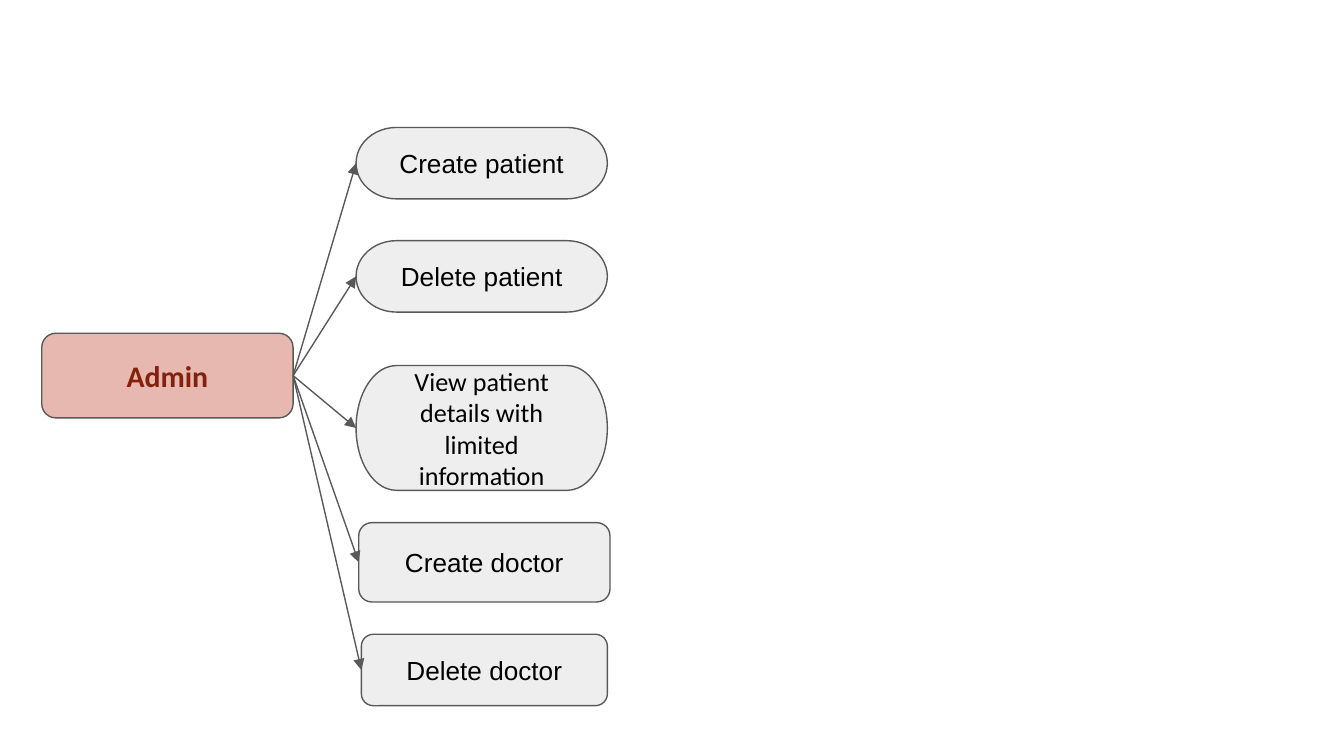
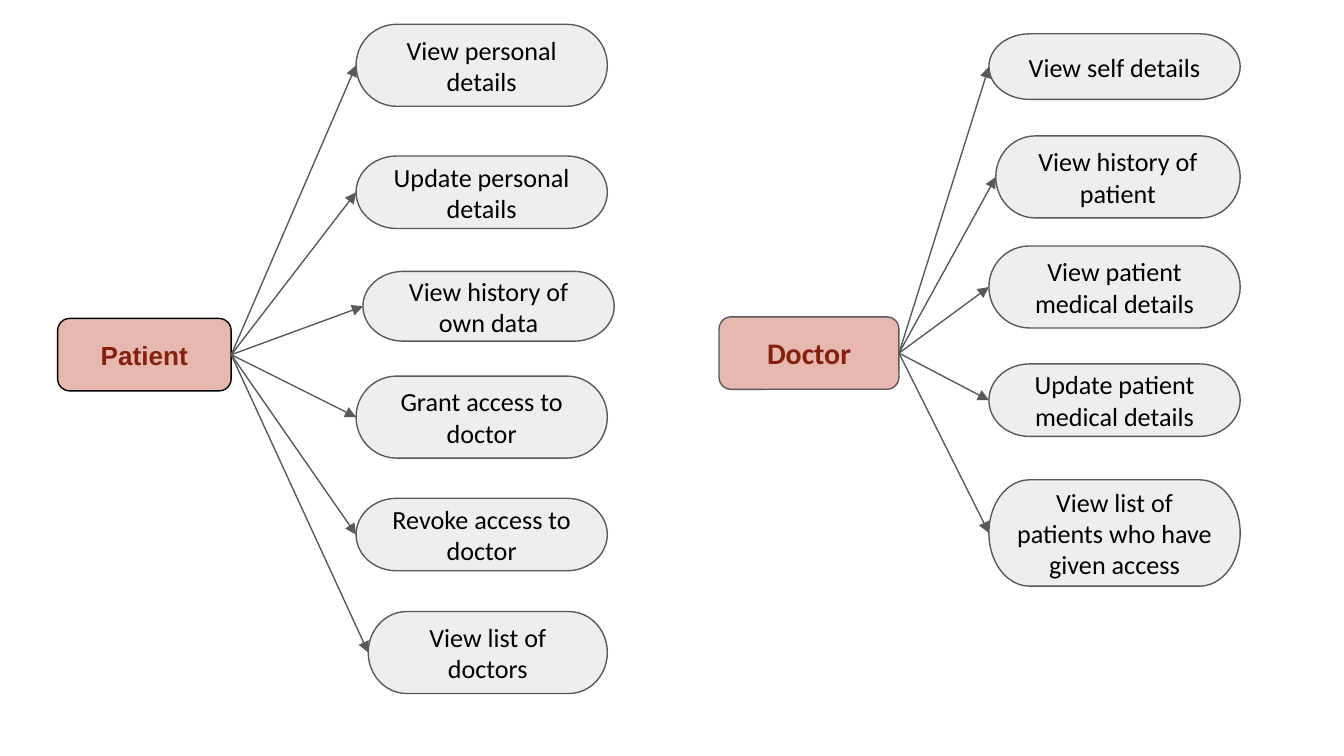
from dataclasses import dataclass

from lxml import etree
from pptx import Presentation
from pptx.dml.color import RGBColor
from pptx.enum.shapes import MSO_CONNECTOR, MSO_SHAPE
from pptx.enum.text import MSO_ANCHOR, PP_ALIGN
from pptx.oxml.ns import qn
from pptx.util import Cm, Pt

ROUNDED = MSO_SHAPE.ROUNDED_RECTANGLE
TERMINATOR = MSO_SHAPE.FLOWCHART_TERMINATOR
STRAIGHT = MSO_CONNECTOR.STRAIGHT
CENTER = PP_ALIGN.CENTER
MIDDLE = MSO_ANCHOR.MIDDLE
LEFT_SIDE, RIGHT_SIDE = 1, 3  # connection sites


@dataclass(frozen=True)
class Theme:
    role_fill: str = "E6B8AF"
    role_text: str = "85200C"
    action_fill: str = "EEEEEE"
    action_text: str = "000000"
    outline: str = "595959"
    black: str = "000000"
    sans: str = "Arial"
    body: str = "Calibri"
    role_size: int = 16
    action_size: int = 14
    line_width: float = 0.75
    inset: float = 0.25


THEME = Theme()


@dataclass(frozen=True)
class Role:
    name: str
    place: tuple  # left, top, width, height in cm
    actions_left: float
    actions: list
    font: str = THEME.body
    size: int = THEME.role_size
    outline: str = THEME.outline


@dataclass(frozen=True)
class Action:
    text: str
    top: float
    height: float
    indent: float = 0
    width: float = 4.75
    font: str = THEME.body
    form: int = TERMINATOR


# Content: each slide is a list of roles with the actions open to them
ADMIN = Role("Admin", (0.79, 6.3, 4.75, 1.6), 6.73, [
    Action("Create patient", 2.41, 1.35, font=THEME.sans),
    Action("Delete patient", 4.55, 1.35, font=THEME.sans),
    Action("View patient details with limited information", 6.91, 2.36),
    Action("Create doctor", 9.88, 1.5, 0.05, font=THEME.sans, form=ROUNDED),
    Action("Delete doctor", 11.99, 1.35, 0.1, 4.65, THEME.sans, ROUNDED),
])
PATIENT = Role("Patient", (1.09, 6.02, 3.28, 1.37), 6.73, [
    Action("View personal details", 0.46, 1.55),
    Action("Update personal details", 2.95, 1.37),
    Action("View history of own data", 5.13, 1.32, 0.13),
    Action("Grant access to doctor", 7.11, 1.55),
    Action("Revoke access to doctor", 9.42, 1.37),
    Action("View list of doctors", 11.56, 1.55, 0.23, 4.52),
], font=THEME.sans, size=THEME.action_size, outline=THEME.black)
DOCTOR = Role("Doctor", (13.59, 5.99, 3.4, 1.37), 18.69, [
    Action("View self details", 0.64, 1.24),
    Action("View history of patient", 2.57, 1.55, 0.13, 4.62),
    Action("View patient medical details", 4.65, 1.55),
    Action("Update patient medical details", 6.88, 1.37),
    Action("View list of patients who have given access", 9.07, 2.01),
])
SLIDES = [[ADMIN], [PATIENT, DOCTOR]]


def style_line(line, color):
    line.color.rgb = RGBColor.from_string(color)
    line.width = Pt(THEME.line_width)


def add_box(slide, form, place, text, fill, outline, font, size, color, bold=False):
    box = slide.shapes.add_shape(form, *map(Cm, place))
    box.shadow.inherit = False
    box.fill.solid()
    box.fill.fore_color.rgb = RGBColor.from_string(fill)
    style_line(box.line, outline)

    frame = box.text_frame
    frame.word_wrap = True
    frame.vertical_anchor = MIDDLE
    frame.margin_left = frame.margin_right = Cm(THEME.inset)
    frame.margin_top = frame.margin_bottom = Cm(THEME.inset)
    paragraph = frame.paragraphs[0]
    paragraph.alignment = CENTER
    run = paragraph.add_run()
    run.text = text
    run.font.name = font
    run.font.size = Pt(size)
    run.font.bold = bold
    run.font.color.rgb = RGBColor.from_string(color)
    return box


def add_arrow(slide, role_box, action_box):
    arrow = slide.shapes.add_connector(STRAIGHT, 0, 0, 0, 0)
    arrow.begin_connect(role_box, RIGHT_SIDE)
    arrow.end_connect(action_box, LEFT_SIDE)
    style_line(arrow.line, THEME.outline)
    etree.SubElement(arrow.line._get_or_add_ln(), qn("a:tailEnd"), type="triangle")
    etree.SubElement(arrow._element.spPr, qn("a:effectLst"))


def add_role(slide, role):
    role_box = add_box(slide, ROUNDED, role.place, role.name, THEME.role_fill,
                       role.outline, role.font, role.size, THEME.role_text, True)
    for action in role.actions:
        place = (role.actions_left + action.indent, action.top,
                 action.width, action.height)
        action_box = add_box(slide, action.form, place, action.text,
                             THEME.action_fill, THEME.outline, action.font,
                             THEME.action_size, THEME.action_text)
        add_arrow(slide, role_box, action_box)


def main():
    deck = Presentation()
    deck.slide_width, deck.slide_height = Cm(25.4), Cm(14.29)
    blank = deck.slide_layouts[6]
    for roles in SLIDES:
        slide = deck.slides.add_slide(blank)
        for role in roles:
            add_role(slide, role)
    deck.save("out.pptx")


if __name__ == "__main__":
    main()
